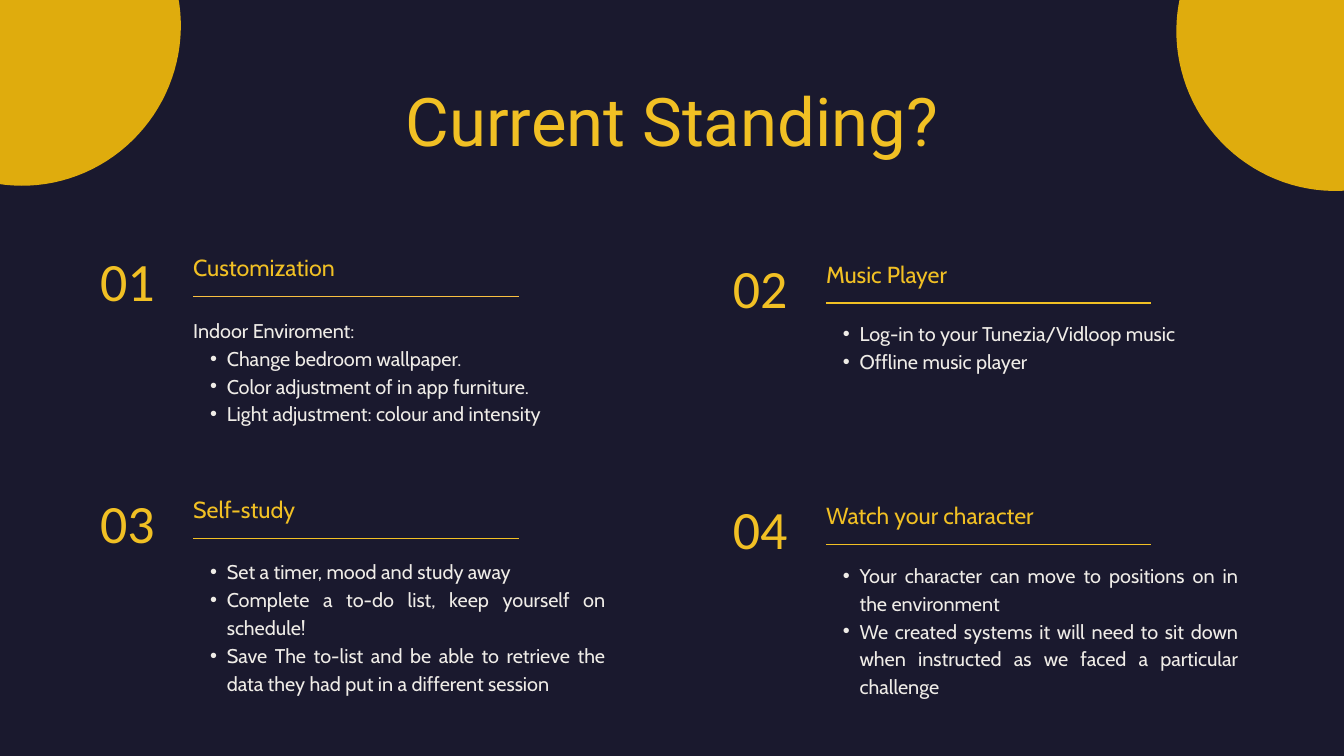
"""Build the "Current Standing?" slide with four numbered sections."""
import dataclasses
import math

import lxml.etree
import pptx
import pptx.dml.color
import pptx.enum.shapes
import pptx.enum.text
import pptx.oxml.ns
import pptx.shapes.base
import pptx.slide
import pptx.text.text
import pptx.util

EMU_PER_PX = 9525
YELLOW = "F1C024"
GOLD = "DFAC0D"
CREAM = "EFECE7"
NAVY = "1A192E"
ALIGN = pptx.enum.text.PP_ALIGN


@dataclasses.dataclass(frozen=True)
class Section:
    number: str
    heading: str
    left: int
    top: int
    body_offset: int
    body_height: int
    bullets: tuple[str, ...]
    intro: str = ""
    rule_color: str = YELLOW


@dataclasses.dataclass(frozen=True)
class Dome:
    left: int
    top: int
    rotation: float
    width: int = 452
    height: int = 288
    straight: int = 66


SECTIONS = (
    Section("01", "Customization", 109, 339, 110, 193,
            ("Change bedroom wallpaper.",
             "Color adjustment of in app furniture.",
             "Light adjustment: colour and intensity"),
            intro="Indoor Enviroment:", rule_color="F9C041"),
    Section("02", "Music Player", 1013, 348, 106, 155,
            ("Log-in to your Tunezia/Vidloop music",
             "Offline music player")),
    Section("03", "Self-study", 109, 684, 110, 272,
            ("Set a timer, mood and study away",
             "Complete a to-do list, keep yourself on schedule!",
             "Save The to-list and be able to retrieve the data they had put in a different session")),
    Section("04", "Watch your character", 1013, 693, 106, 193,
            ("Your character can move to positions on in the environment",
             "We created systems it will need to sit down when instructed as we faced a particular challenge")),
)
DOMES = (Dome(-126, -60, 303.8), Dome(1614, -51, 54.9))


def px(value: float) -> pptx.util.Emu:
    """Turn pixels into EMU."""
    return pptx.util.Emu(round(value * EMU_PER_PX))


def rgb(color: str) -> pptx.dml.color.RGBColor:
    """Turn a hex string into a colour."""
    return pptx.dml.color.RGBColor.from_string(color)


def write_text(paragraph: pptx.text.text._Paragraph, text: str, *, size: float, font: str,
               spacing: float, color: str = YELLOW, align: ALIGN = ALIGN.LEFT) -> None:
    """Write one formatted run into a paragraph."""
    paragraph.alignment = align
    paragraph.line_spacing = pptx.util.Pt(spacing)
    paragraph.space_before = pptx.util.Pt(0)
    run = paragraph.add_run()
    run.text = text
    run.font.size = pptx.util.Pt(size)
    run.font.name = font
    run.font.bold = False
    run.font.color.rgb = rgb(color)


def place_frame(shape: pptx.shapes.base.BaseShape, left: int, top: int,
                width: int, height: int) -> pptx.text.text.TextFrame:
    """Position a text shape and give it a plain frame without margins."""
    shape.left, shape.top, shape.width, shape.height = map(px, (left, top, width, height))
    frame = shape.text_frame
    frame.margin_left = frame.margin_top = frame.margin_right = frame.margin_bottom = 0
    frame.vertical_anchor = pptx.enum.text.MSO_ANCHOR.TOP
    frame.word_wrap = True
    frame.auto_size = pptx.enum.text.MSO_AUTO_SIZE.SHAPE_TO_FIT_TEXT
    return frame


def set_bullet(paragraph: pptx.text.text._Paragraph, bullet: bool) -> None:
    """Give a paragraph a hanging bullet, or none at all."""
    properties = paragraph._p.get_or_add_pPr()
    properties.set("marL", str(px(48 if bullet else 0)))
    properties.set("indent", str(px(-24 if bullet else 0)))
    if bullet:
        paragraph.level = 1
        lxml.etree.SubElement(properties, pptx.oxml.ns.qn("a:buFont"), typeface="Arial")
        lxml.etree.SubElement(properties, pptx.oxml.ns.qn("a:buChar"), char="•")
    else:
        lxml.etree.SubElement(properties, pptx.oxml.ns.qn("a:buNone"))


def draw_dome(slide: pptx.slide.Slide, dome: Dome) -> None:
    """Draw a rotated half ellipse that hangs from a rectangle."""
    radius = dome.width / 2
    depth = dome.height - dome.straight
    angles = [math.pi * step / 60 for step in range(61)]
    curve = [(px(dome.left + radius * (1 + math.cos(angle))),
              px(dome.top + dome.straight + depth * math.sin(angle))) for angle in angles]
    builder = slide.shapes.build_freeform(px(dome.left), px(dome.top))
    builder.add_line_segments([(px(dome.left + dome.width), px(dome.top)), *curve])
    shape = builder.convert_to_shape()
    shape.rotation = dome.rotation
    shape.shadow.inherit = False
    shape.fill.solid()
    shape.fill.fore_color.rgb = rgb(GOLD)
    shape.line.fill.background()


def draw_rule(slide: pptx.slide.Slide, left: int, top: int, width: int, color: str) -> None:
    """Draw a thin horizontal line."""
    rule = slide.shapes.add_connector(pptx.enum.shapes.MSO_CONNECTOR.STRAIGHT,
                                      px(left), px(top), px(left + width), px(top))
    rule.line.color.rgb = rgb(color)
    rule.line.width = pptx.util.Pt(1.5)
    lxml.etree.SubElement(rule._element.spPr, pptx.oxml.ns.qn("a:effectLst"))


def draw_section(slide: pptx.slide.Slide, section: Section,
                 body: pptx.shapes.base.BaseShape) -> None:
    """Draw a number, a heading, a line and a list."""
    text_left = section.left + 167
    draw_rule(slide, text_left, section.top + 85, 465, section.rule_color)

    number = place_frame(slide.shapes.add_textbox(0, 0, 0, 0), section.left, section.top, 146, 104)
    write_text(number.paragraphs[0], section.number, size=57.8, font="Calibri",
               spacing=80.9, align=ALIGN.CENTER)
    heading = place_frame(slide.shapes.add_textbox(0, 0, 0, 0),
                          text_left, section.top + 17, 547, 44)
    write_text(heading.paragraphs[0], section.heading, size=24.9, font="Cabin", spacing=34.8)

    frame = place_frame(body, text_left, section.top + section.body_offset,
                        589, section.body_height)
    lines = [(section.intro, False)] if section.intro else []
    lines += [(text, True) for text in section.bullets]
    for index, (text, bullet) in enumerate(lines):
        paragraph = frame.add_paragraph() if index else frame.paragraphs[0]
        set_bullet(paragraph, bullet)
        write_text(paragraph, text, size=21.3, font="Cabin", spacing=29.9,
                   color=CREAM, align=ALIGN.JUSTIFY)


def main() -> None:
    """Build and save the presentation."""
    presentation = pptx.Presentation()
    presentation.slide_width, presentation.slide_height = px(1920), px(1080)
    slide = presentation.slides.add_slide(presentation.slide_layouts.get_by_name("Comparison"))
    slide.background.fill.solid()
    slide.background.fill.fore_color.rgb = rgb(NAVY)
    title, *bodies = list(slide.placeholders)[:5]

    for dome in DOMES:
        draw_dome(slide, dome)
    frame = place_frame(title, 400, 94, 1120, 129)
    write_text(frame.paragraphs[0], "Current Standing?", size=71.9, font="Roboto",
               spacing=100.7, align=ALIGN.CENTER)
    for section, body in zip(SECTIONS, bodies):
        draw_section(slide, section, body)
    presentation.save("out.pptx")


if __name__ == "__main__":
    main()
